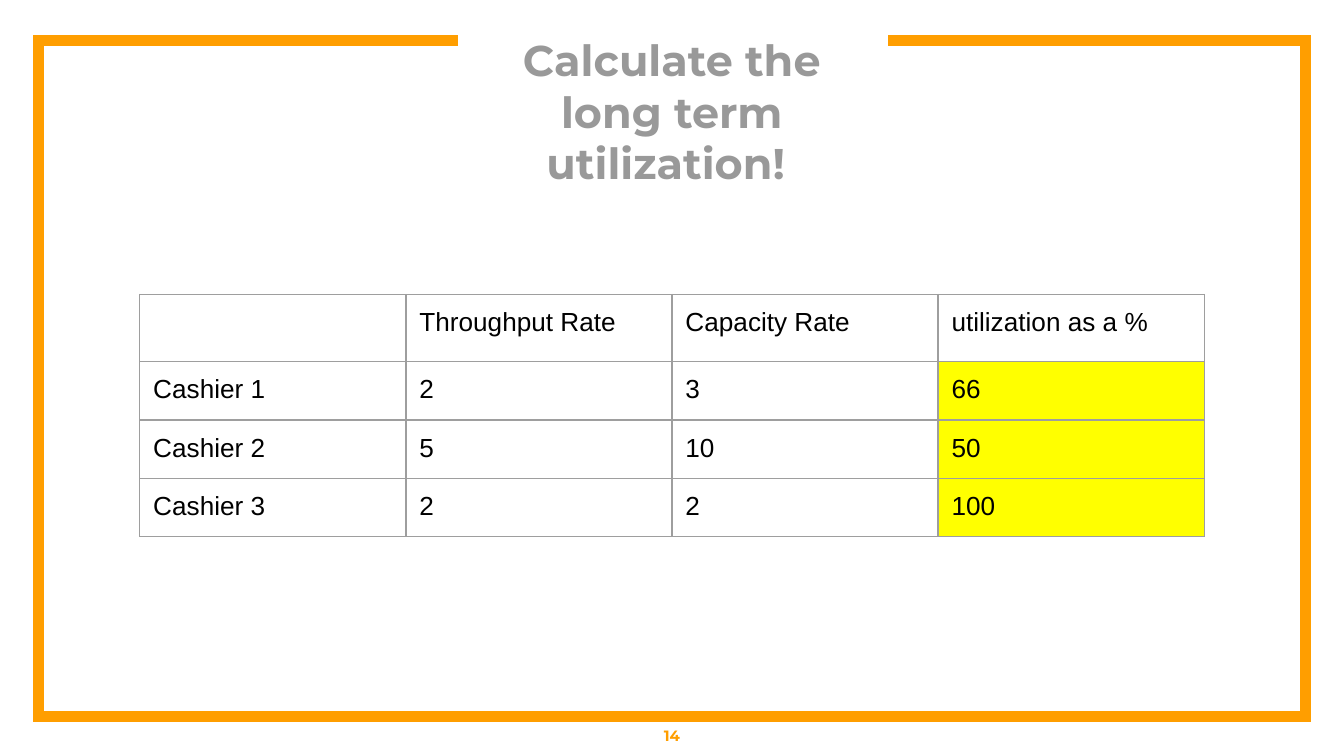
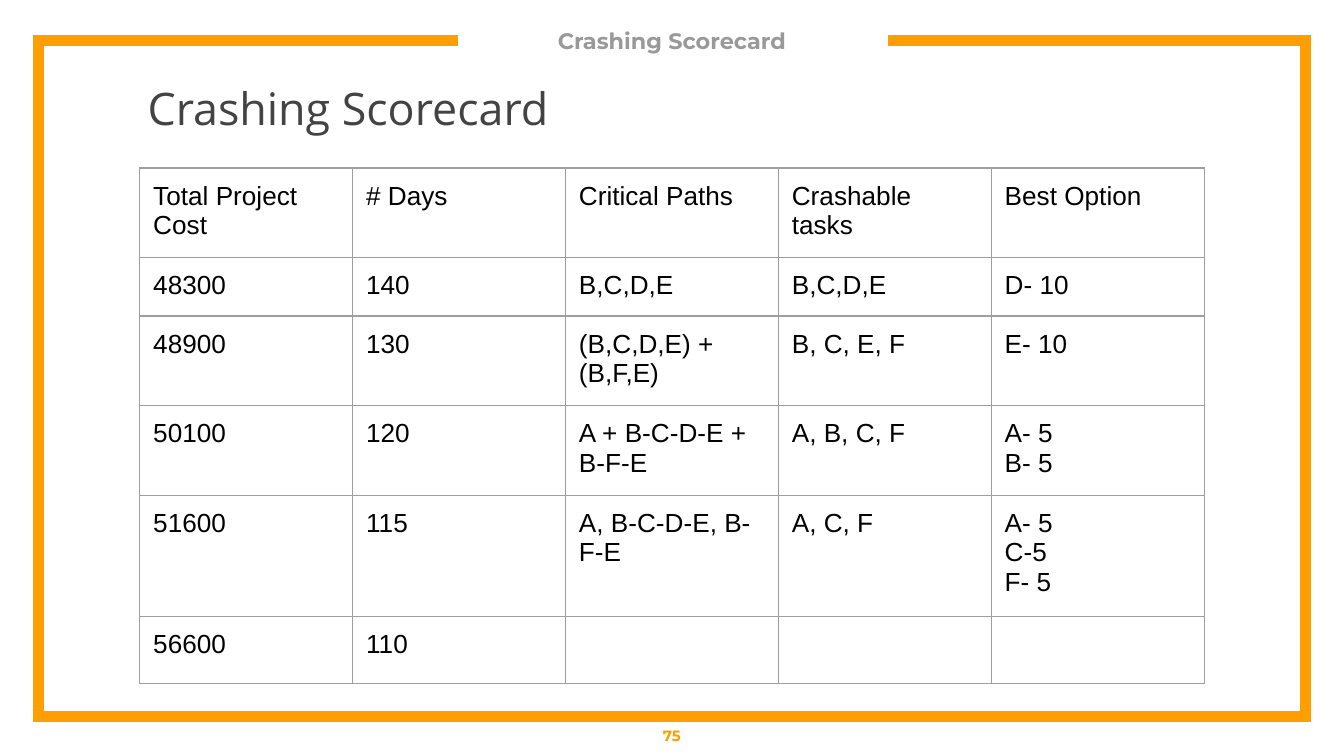
import pptx
import pptx.util
import pptx.dml.color
import pptx.enum.text
import pptx.oxml
import pptx.oxml.ns
from lxml import etree

Inches, Pt = pptx.util.Inches, pptx.util.Pt
PP_ALIGN, ANCHOR = pptx.enum.text.PP_ALIGN, pptx.enum.text.MSO_ANCHOR

# Shared look
SLIDE_WIDTH, SLIDE_HEIGHT = 10, 10 * 9 / 16
ORANGE, GREY, DARK, BLACK = "FF9E00", "999999", "434343", "000000"
RULE, YELLOW = "9E9E9E", "FFFF00"
NUMBER = {"name": "Montserrat", "size": 8, "bold": True, "color": ORANGE}
TITLE = {"name": "Montserrat", "size": 12, "bold": True, "color": GREY}
HEADING = {"name": "Open Sans", "size": 24, "color": DARK}
CELL = {"name": "Arial", "size": 14, "color": BLACK}
INSET = 0.1
ROW_HEIGHT = 0.42
TABLE_LEFT, TABLE_WIDTH, TABLE_FRAME = 1.04, 7.92, 3.28
NO_STYLE = "{2D5ABB26-0587-4C30-8999-92F81FD0307C}"


def rgb(value):
    return pptx.dml.color.RGBColor.from_string(value)


def centred(width):
    return (SLIDE_WIDTH - width) / 2


def set_font(font, style):
    for key, value in style.items():
        if key == "color":
            font.color.rgb = rgb(value)
        else:
            setattr(font, key, Pt(value) if key == "size" else value)


def set_margins(target, inset):
    for side in ("left", "top", "right", "bottom"):
        setattr(target, f"margin_{side}", Inches(inset))


def write(tf, text, style, align=PP_ALIGN.LEFT):
    for i, line in enumerate(text.split("\n")):
        p = tf.paragraphs[0] if i == 0 else tf.add_paragraph()
        p.alignment = align
        r = p.add_run()
        r.text = line
        set_font(r.font, style)


def add_text(s, box, text, style, align=PP_ALIGN.CENTER, anchor=ANCHOR.MIDDLE, inset=INSET):
    tf = s.shapes.add_textbox(*map(Inches, box)).text_frame
    tf.word_wrap = True
    tf.vertical_anchor = anchor
    set_margins(tf, inset)
    write(tf, text, style, align)


def add_frame(s, box):
    """Open frame with a gap in its top edge for the title."""
    left, top, width, height = box
    right, bottom = left + width, top + height
    gap_left, gap_right = left + 3.12, right - 3.11
    points = [(left, top), (left, bottom), (right, bottom), (right, top), (gap_right, top)]
    fb = s.shapes.build_freeform(Inches(gap_left), Inches(top))
    fb.add_line_segments([(Inches(x), Inches(y)) for x, y in points], close=False)
    sp = fb.convert_to_shape()
    sp.shadow.inherit = False
    sp.fill.background()
    sp.line.color.rgb = rgb(ORANGE)
    sp.line.width = Pt(6)
    etree.SubElement(sp.line._get_or_add_ln(), pptx.oxml.ns.qn("a:miter"), lim="800000")


def add_borders(cell):
    tc_pr = cell._tc.get_or_add_tcPr()
    for i, edge in enumerate(("lnL", "lnR", "lnT", "lnB")):
        tc_pr.insert(i, pptx.oxml.parse_xml(
            f'<a:{edge} {pptx.oxml.ns.nsdecls("a")} w="{Pt(0.75)}">'
            f'<a:solidFill><a:srgbClr val="{RULE}"/></a:solidFill></a:{edge}>'))


def add_grid(s, top, rows, highlight=()):
    """Ruled table; highlight lists the (row, column) cells to colour."""
    n_rows, n_cols = len(rows), len(rows[0])
    frame = s.shapes.add_table(
        n_rows, n_cols, Inches(TABLE_LEFT), Inches(top),
        Inches(TABLE_WIDTH), Inches(ROW_HEIGHT * n_rows))
    table = frame.table
    table.first_row = table.horz_banding = False
    table._tbl.tblPr.find(pptx.oxml.ns.qn("a:tableStyleId")).text = NO_STYLE
    for i, row in enumerate(rows):
        for j, text in enumerate(row):
            cell = table.cell(i, j)
            set_margins(cell, INSET)
            if (i, j) in highlight:
                cell.fill.solid()
                cell.fill.fore_color.rgb = rgb(YELLOW)
            else:
                cell.fill.background()
            add_borders(cell)
            if text:
                write(cell.text_frame, text, CELL)
    # Rows and columns set the drawn size; the frame is a fixed square
    frame.width = frame.height = Inches(TABLE_FRAME)


def add_base(prs, title, number, title_top, title_size):
    """Slide with frame, title and page number."""
    s = prs.slides.add_slide(prs.slide_layouts[6])
    add_frame(s, (centred(9.43), 0.3, 9.43, 5.03))
    add_text(s, (centred(2.91), title_top, 2.91, 0.39), title,
             {**TITLE, "size": title_size}, inset=0)
    add_text(s, (0, SLIDE_HEIGHT - 0.3, SLIDE_WIDTH, 0.3), number, NUMBER)
    return s


def utilization_slide(prs):
    s = add_base(prs, "Calculate the long term utilization! ", "14", 0.63, 23)
    rows = [
        ("", "Throughput Rate", "Capacity Rate", "utilization as a %"),
        ("Cashier 1", "2", "3", "66"),
        ("Cashier 2", "5", "10", "50"),
        ("Cashier 3", "2", "2", "100"),
    ]
    add_grid(s, 2.19, rows, [(i, 3) for i in range(1, len(rows))])


def scorecard_slide(prs):
    s = add_base(prs, "Crashing Scorecard", "75", 0.11, 12)
    add_text(s, (1, 0.5, 8, 3.55), "Crashing Scorecard", HEADING, PP_ALIGN.LEFT, ANCHOR.TOP)
    add_grid(s, 1.25, [
        ("Total Project Cost", "# Days", "Critical Paths", "Crashable tasks", "Best Option"),
        ("48300", "140", "B,C,D,E", "B,C,D,E", "D- 10"),
        ("48900", "130", "(B,C,D,E) + (B,F,E)", "B, C, E, F", "E- 10"),
        ("50100", "120", "A + B-C-D-E + B-F-E", "A, B, C, F", "A- 5\nB- 5"),
        ("51600", "115", "A, B-C-D-E, B-F-E", "A, C, F", "A- 5\nC-5\nF- 5"),
        ("56600", "110", "", "", ""),
    ])


def main():
    prs = pptx.Presentation()
    prs.slide_width, prs.slide_height = Inches(SLIDE_WIDTH), Inches(SLIDE_HEIGHT)
    utilization_slide(prs)
    scorecard_slide(prs)
    prs.save("out.pptx")


if __name__ == "__main__":
    main()
